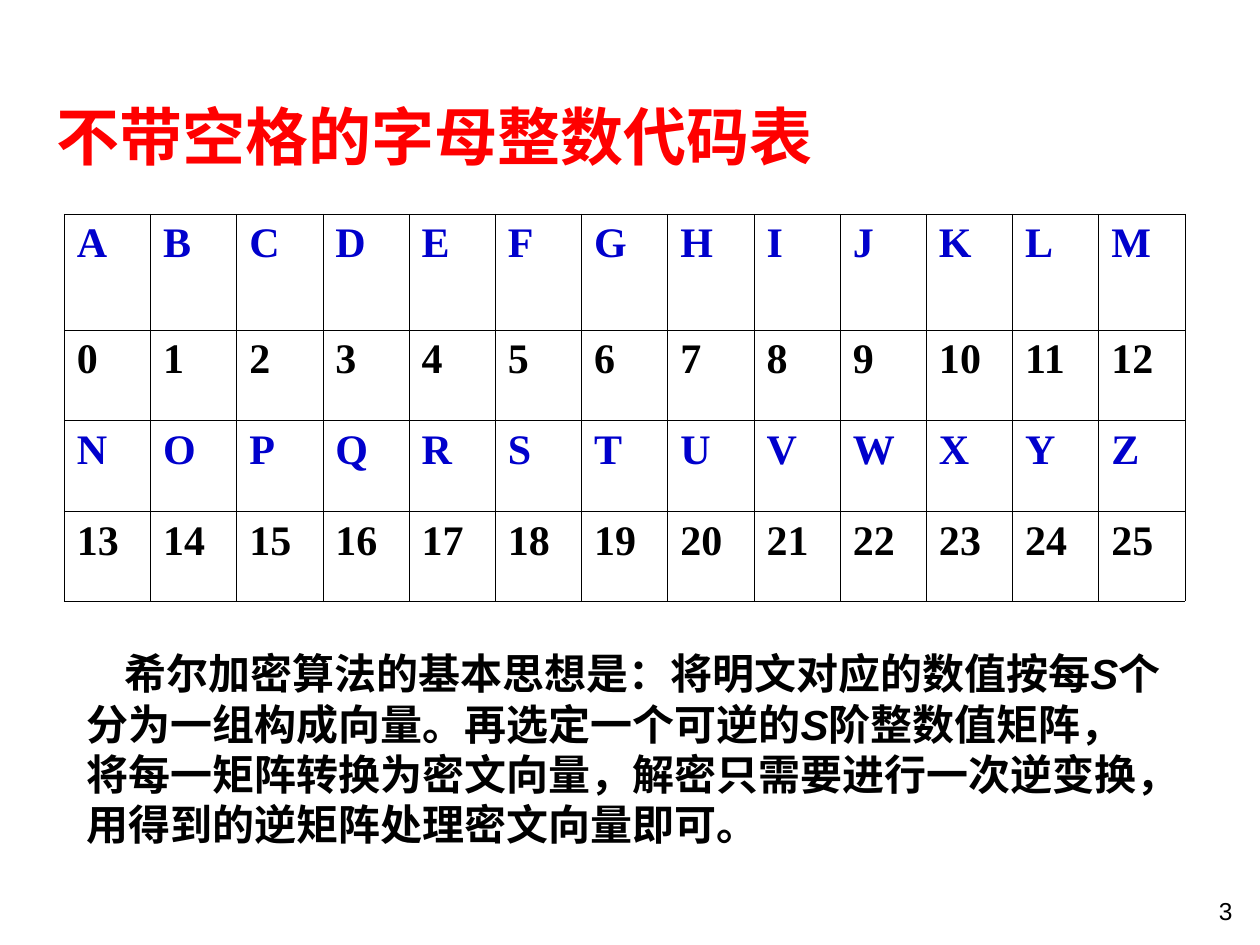
import dataclasses
import pptx
import pptx.dml.color
import pptx.enum.text
import pptx.oxml
import pptx.oxml.ns
import pptx.util

Inches = pptx.util.Inches
Align = pptx.enum.text.PP_ALIGN
Anchor = pptx.enum.text.MSO_ANCHOR


@dataclasses.dataclass
class Theme:
    """Colours, fonts and type sizes."""
    red: str = "FF0000"
    blue: str = "0000CC"
    black: str = "000000"
    sans: str = "Arial"
    serif: str = "Times New Roman"
    title: int = 36
    body: int = 24
    small: int = 14
    rule: float = 0.45


class Deck:
    """Holds the theme and the current slide."""

    def __init__(self, theme):
        """Start a deck with one title-only slide."""
        self.theme = theme
        self.file = pptx.Presentation()
        self.file.slide_width = Inches(10)
        self.file.slide_height = Inches(7.5)
        self.slide = self.file.slides.add_slide(self.file.slide_layouts[5])

    def run(self, para, text, size, color, bold=True, italic=False, face=None):
        """Add one styled run to a paragraph."""
        run = para.add_run()
        run.text = text
        font = run.font
        font.name = face or self.theme.sans
        font.size = pptx.util.Pt(size)
        font.bold = bold
        font.italic = italic
        font.color.rgb = pptx.dml.color.RGBColor.from_string(color)

    def frame(self, shape, anchor, align):
        """Set up a text frame and return its first paragraph."""
        frame = shape.text_frame
        frame.word_wrap = True
        frame.auto_size = pptx.enum.text.MSO_AUTO_SIZE.NONE
        frame.vertical_anchor = anchor
        para = frame.paragraphs[0]
        para.alignment = align
        return para

    def title(self, text, left, top, width, height):
        """Place and fill the title."""
        shape = self.slide.shapes.title
        shape.left, shape.top = Inches(left), Inches(top)
        shape.width, shape.height = Inches(width), Inches(height)
        para = self.frame(shape, Anchor.MIDDLE, Align.LEFT)
        self.run(para, text, self.theme.title, self.theme.red)

    def text(self, left, top, width, height, anchor=Anchor.TOP,
             align=Align.LEFT, indent=0):
        """Add a text box and return its first paragraph."""
        box = self.slide.shapes.add_textbox(
            Inches(left), Inches(top), Inches(width), Inches(height))
        para = self.frame(box, anchor, align)
        if indent:
            props = para._p.get_or_add_pPr()
            props.set("marL", "0")
            props.set("indent", str(Inches(indent)))
        return para

    def border(self, cell):
        """Draw a thin line on all four sides of a cell."""
        props = cell._tc.get_or_add_tcPr()
        width = pptx.util.Pt(self.theme.rule)
        for spot, side in enumerate("LRTB"):
            props.insert(spot, pptx.oxml.parse_xml(
                f'<a:ln{side} {pptx.oxml.ns.nsdecls("a")} w="{width}">'
                f'<a:solidFill><a:srgbClr val="{self.theme.black}"/>'
                f'</a:solidFill></a:ln{side}>'))

    def table(self, rows, left, top, width, heights):
        """Add a ruled table with equal columns and coloured letter rows."""
        count = len(rows[0])
        grid = self.slide.shapes.add_table(
            len(rows), count, Inches(left), Inches(top),
            Inches(width), Inches(sum(heights))).table
        grid.first_row = grid.horz_banding = False
        for col in grid.columns:
            col.width = Inches(width / count)
        for row, high, words in zip(grid.rows, heights, rows):
            row.height = Inches(high)
            for cell, word in zip(row.cells, words):
                cell.fill.background()
                self.border(cell)
                color = self.theme.blue if word.isalpha() else self.theme.black
                self.run(cell.text_frame.paragraphs[0], word, self.theme.body,
                         color, face=self.theme.serif)


def main():
    """Build the slide."""
    theme = Theme()
    deck = Deck(theme)
    deck.title("不带空格的字母整数代码表", 0.35, 0.6, 9, 0.95)

    rows = []
    for start in (0, 13):
        codes = range(start, start + 13)
        rows.append([chr(ord("A") + code) for code in codes])
        rows.append([str(code) for code in codes])
    deck.table(rows, 0.51, 1.7, 8.9, [0.92, 0.72, 0.72, 0.71])

    para = deck.text(0.59, 5.09, 8.74, 1.7, Anchor.MIDDLE, indent=0.3)
    parts = [
        "希尔加密算法的基本思想是：将明文对应的数值按每",
        "S",
        "个分为一组构成向量。再选定一个可逆的",
        "S",
        "阶整数值矩阵，将每一矩阵转换为密文向量，解密只需要进行一次逆变换，"
        "用得到的逆矩阵处理密文向量即可。",
    ]
    for part in parts:
        deck.run(para, part, theme.body, theme.black, italic=part == "S")

    para = deck.text(7.55, 7.06, 2.33, 0.37, align=Align.RIGHT)
    deck.run(para, "3", theme.small, theme.black, bold=False)
    deck.file.save("out.pptx")


main()
